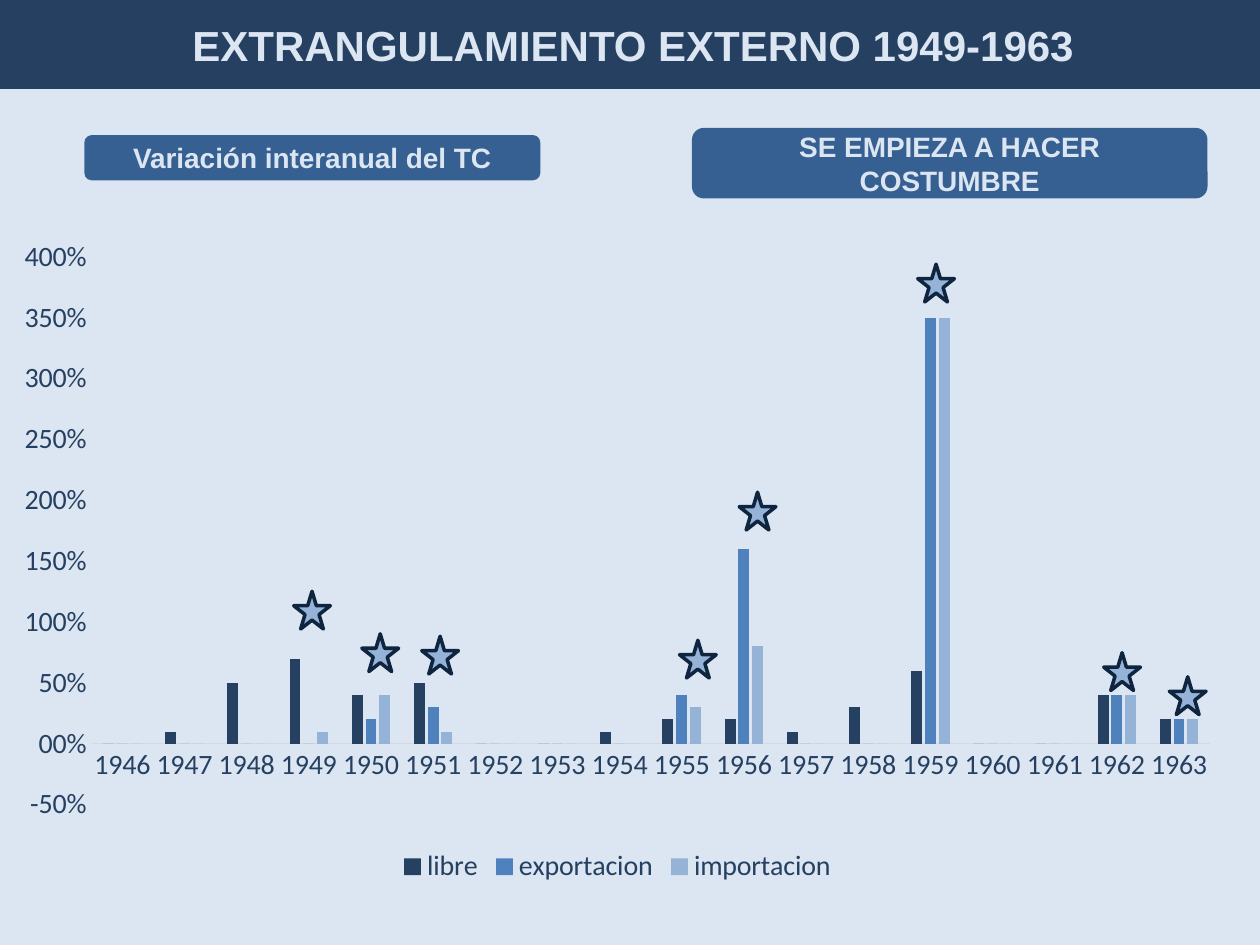
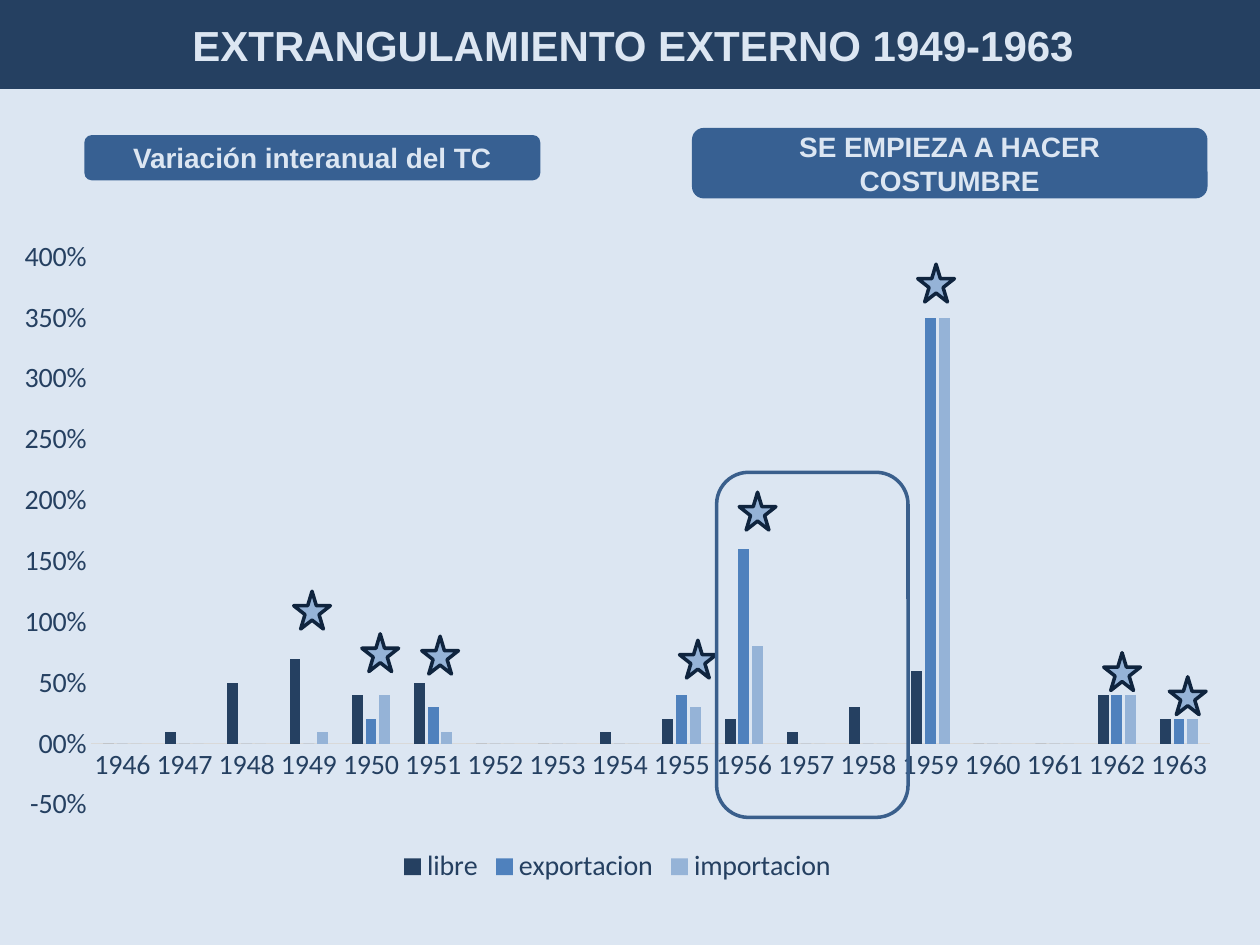
from pptx import Presentation
from pptx.chart.data import CategoryChartData
from pptx.dml.color import RGBColor
from pptx.enum.chart import (XL_CHART_TYPE as ChartType, XL_LEGEND_POSITION as LegendPosition,
                             XL_TICK_LABEL_POSITION as LabelPosition, XL_TICK_MARK as TickMark)
from pptx.enum.shapes import MSO_SHAPE as Shape
from pptx.enum.text import MSO_ANCHOR as Anchor, MSO_AUTO_SIZE as AutoSize, PP_ALIGN as Align
from pptx.util import Pt

# Shared colours
NAVY, STEEL, BLUE, SKY, PALE = "254061", "376092", "4F81BD", "95B3D7", "DCE6F2"
STAR_EDGE, FRAME_EDGE, AXIS_GREY = "0F243E", "3A5F8C", "D9D9D9"

TITLE = "EXTRANGULAMIENTO EXTERNO 1949-1963"
LABELS = [
    ("Variación interanual del TC", 48.2, 77.2, 260.6, 25.9),
    ("SE EMPIEZA A HACER COSTUMBRE", 395.4, 73.1, 294.6, 40.3),
]

# Yearly change of the exchange rate
YEARS = range(1946, 1964)
RATES = {
    "libre": (NAVY, [0, 0.1, 0.5, 0.7, 0.4, 0.5, 0, 0, 0.1,
                     0.2, 0.2, 0.1, 0.3, 0.6, 0, 0, 0.4, 0.2]),
    "exportacion": (BLUE, [0, 0, 0, 0, 0.2, 0.3, 0, 0, 0,
                           0.4, 1.6, 0, 0, 3.5, 0, 0, 0.4, 0.2]),
    "importacion": (SKY, [0, 0, 0, 0.1, 0.4, 0.1, 0, 0, 0,
                          0.3, 0.8, 0, 0, 3.5, 0, 0, 0.4, 0.2]),
}

# Left and top of the star that marks each devaluation
STARS = {
    1949: (167.8, 337.9), 1950: (206.8, 362.2), 1951: (241, 363.6), 1955: (388.3, 365.9),
    1956: (422.4, 281.3), 1959: (524.4, 151), 1962: (630.7, 373), 1963: (668.2, 386.8),
}


def colour(value):
    return RGBColor.from_string(value)


def fill_solid(target, value):
    target.fill.solid()
    target.fill.fore_color.rgb = colour(value)


def style_font(font, name, size, value, bold=False):
    font.name, font.size, font.bold = name, Pt(size), bold
    font.color.rgb = colour(value)


def write_centred(box, text, size):
    frame = box.text_frame
    frame.word_wrap = True
    frame.auto_size = AutoSize.NONE
    frame.vertical_anchor = Anchor.MIDDLE
    para = frame.paragraphs[0]
    para.alignment = Align.CENTER
    span = para.add_run()
    span.text = text
    style_font(span.font, "Arial", size, PALE, bold=True)


def add_plain_shape(page, kind, left, top, width, height, fill=None, edge=None):
    box = page.shapes.add_shape(kind, Pt(left), Pt(top), Pt(width), Pt(height))
    box.shadow.inherit = False
    if fill:
        fill_solid(box, fill)
    else:
        box.fill.background()
    if edge:
        box.line.color.rgb = colour(edge)
        box.line.width = Pt(2)
    else:
        box.line.fill.background()
    return box


def add_title_band(page):
    band = page.shapes.title
    band.left, band.top, band.width, band.height = Pt(0), Pt(0), Pt(723.6), Pt(50.8)
    fill_solid(band, NAVY)
    write_centred(band, TITLE, 24)


def add_label(page, text, left, top, width, height):
    label = add_plain_shape(page, Shape.ROUNDED_RECTANGLE, left, top, width, height, fill=STEEL)
    write_centred(label, text, 16)


def style_axis(axis):
    axis.has_major_gridlines = False
    axis.major_tick_mark = axis.minor_tick_mark = TickMark.NONE
    axis.tick_label_position = LabelPosition.NEXT_TO_AXIS
    style_font(axis.tick_labels.font, "Calibri", 16, NAVY)


def add_rate_chart(page):
    data = CategoryChartData(number_format="0%")
    data.categories = [str(year) for year in YEARS]
    for name, (_, values) in RATES.items():
        data.add_series(name, values)
    chart = page.shapes.add_chart(ChartType.COLUMN_CLUSTERED, Pt(0), Pt(129.6),
                                  Pt(705.6), Pt(378.7), data).chart
    chart.has_title = False
    style_font(chart.font, "Calibri", 16, NAVY)

    # Columns
    plot = chart.plots[0]
    plot.gap_width, plot.overlap, plot.vary_by_categories = 219, -27, False
    for series, (shade, _) in zip(plot.series, RATES.values()):
        fill_solid(series.format, shade)
        series.invert_if_negative = False

    # Axes
    years, rates = chart.category_axis, chart.value_axis
    for axis in (years, rates):
        style_axis(axis)
    years.format.line.color.rgb = colour(AXIS_GREY)
    years.format.line.width = Pt(0.75)
    rates.format.line.fill.background()
    rates.minimum_scale, rates.maximum_scale, rates.major_unit = -0.5, 4, 0.5
    rates.tick_labels.number_format = "#,#00%"
    rates.tick_labels.number_format_is_linked = False

    # Legend
    chart.has_legend = True
    chart.legend.position = LegendPosition.BOTTOM
    chart.legend.include_in_layout = False
    style_font(chart.legend.font, "Calibri", 16, NAVY)


def add_devaluation_page(deck):
    page = deck.slides.add_slide(deck.slide_layouts.get_by_name("Title Only"))
    add_title_band(page)
    add_rate_chart(page)
    for label in LABELS:
        add_label(page, *label)
    for left, top in STARS.values():
        add_plain_shape(page, Shape.STAR_5_POINT, left, top, 21, 21.6, SKY, STAR_EDGE)
    return page


def main():
    deck = Presentation()
    deck.slide_width, deck.slide_height = Pt(720), Pt(540)
    fill_solid(deck.slide_master.background, PALE)

    add_devaluation_page(deck)

    # Second page frames the years 1956 to 1958
    framed_page = add_devaluation_page(deck)
    add_plain_shape(framed_page, Shape.ROUNDED_RECTANGLE, 409.5, 269.9, 109.4, 197.2,
                    edge=FRAME_EDGE)

    deck.save("out.pptx")


if __name__ == "__main__":
    main()
